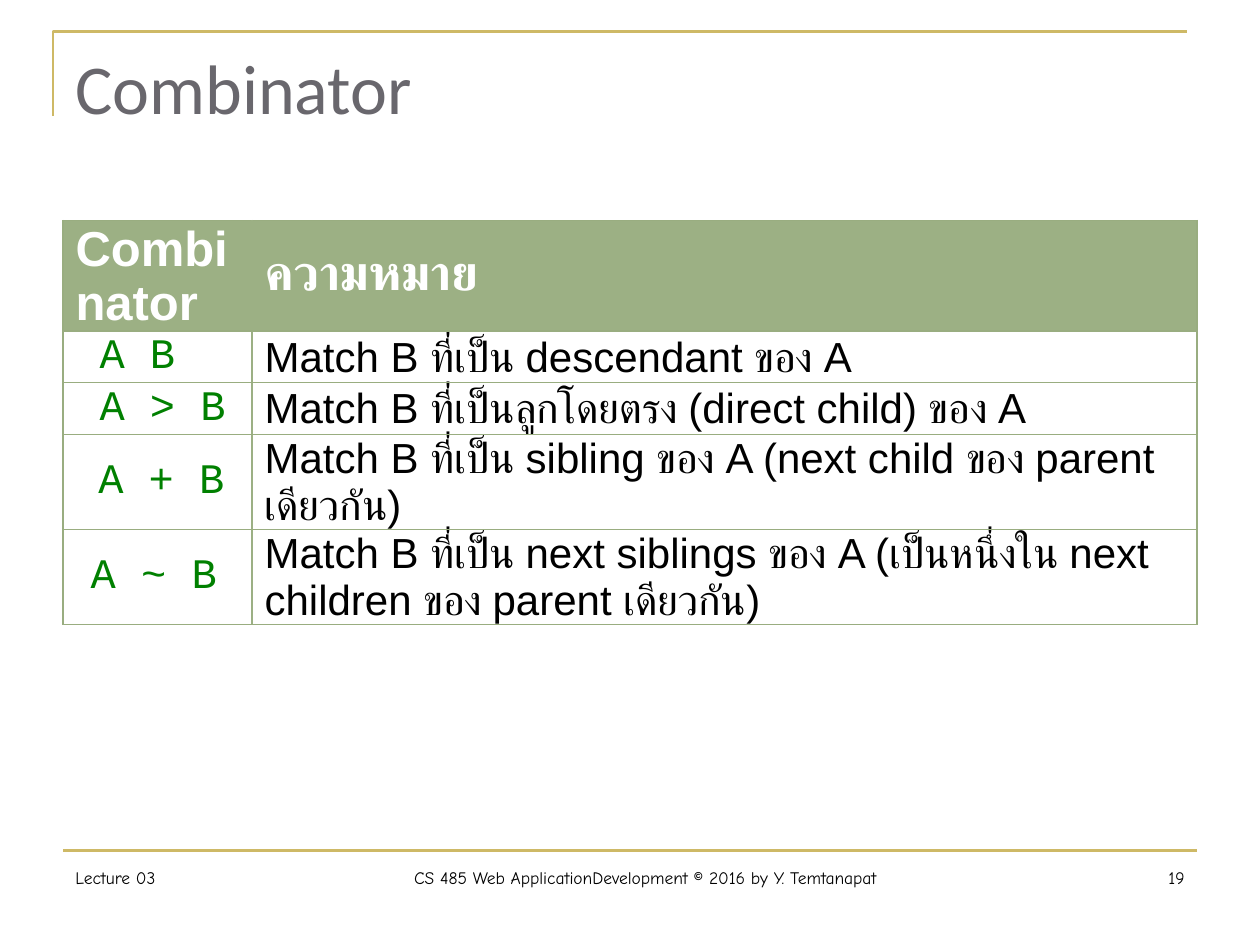
from typing import NamedTuple

from lxml.etree import SubElement
from pptx import Presentation
from pptx.dml.color import RGBColor
from pptx.enum.shapes import MSO_CONNECTOR
from pptx.enum.text import MSO_ANCHOR, MSO_AUTO_SIZE, PP_ALIGN
from pptx.oxml.ns import qn
from pptx.util import Inches, Pt

COLORS = {
    "gold": "CEB966", "title": "69676D", "head": "9CB084", "rule": "99AD80",
    "code": "008000", "text": "000000", "white": "FFFFFF",
}


class Row(NamedTuple):
    code: str
    sense: str
    indent: float


class Note(NamedTuple):
    text: str
    left: float
    width: float
    align: PP_ALIGN


ROWS = [
    Row("A B", "Match B ที่เป็น descendant ของ A", 0.19),
    Row("A > B", "Match B ที่เป็นลูกโดยตรง (direct child) ของ A", 0.19),
    Row("A + B", "Match B ที่เป็น sibling ของ A (next child ของ parent เดียวกัน)", 0.18),
    Row("A ~ B", "Match B ที่เป็น next siblings ของ A "
        "(เป็นหนึ่งใน next children ของ parent เดียวกัน)", 0.12),
]
NOTES = [
    Note("Lecture 03", 0.5, 1.61, PP_ALIGN.LEFT),
    Note("CS 485 Web ApplicationDevelopment © 2016 by Y. Temtanapat",
         2.11, 6.02, PP_ALIGN.CENTER),
    Note("19", 8.12, 1.38, PP_ALIGN.RIGHT),
]


def rgb(name: str) -> RGBColor:
    return RGBColor.from_string(COLORS[name])


def put_text(frame, text: str, *, size: float, font: str, color: str,
             bold: bool = False, align=PP_ALIGN.LEFT, indent: float = 0) -> None:
    frame.word_wrap = True
    para = frame.paragraphs[0]
    para.alignment = align
    if indent:
        para._p.get_or_add_pPr().set("marL", str(Inches(indent)))
    run = para.add_run()
    run.text = text
    run.font.size = Pt(size)
    run.font.name = font
    run.font.bold = bold
    run.font.color.rgb = rgb(color)


def add_note(slide, note: Note) -> None:
    box = slide.shapes.add_textbox(
        Inches(note.left), Inches(6.83), Inches(note.width), Inches(0.5))
    put_text(box.text_frame, note.text, size=10, font="Comic Neue",
             color="text", align=note.align)


def add_edge(cell, side: str, color: str, width: float) -> None:
    line = SubElement(cell._tc.get_or_add_tcPr(), qn(f"a:ln{side}"), w=str(Pt(width)))
    fill = SubElement(line, qn("a:solidFill"))
    SubElement(fill, qn("a:srgbClr"), val=COLORS[color])


def fill_cell(cell, text: str, back: str, first: bool, **style) -> None:
    cell.vertical_anchor = MSO_ANCHOR.MIDDLE
    cell.margin_left, cell.margin_right = Inches(0.1), Inches(0.01)
    cell.margin_top, cell.margin_bottom = Inches(0.01), 0
    thin, thick = ("rule", 0.75), ("head", 1.5)
    add_edge(cell, "L", *(thin if first else thick))
    add_edge(cell, "R", *(thick if first else thin))
    add_edge(cell, "T", *thin)
    add_edge(cell, "B", *thin)
    cell.fill.solid()
    cell.fill.fore_color.rgb = rgb(back)
    put_text(cell.text_frame, text, **style)


def add_grid(slide) -> None:
    count = len(ROWS) + 1
    grid = slide.shapes.add_table(
        count, 2, Inches(0.5), Inches(1.75), Inches(9), Inches(0.41 * count)).table
    grid.columns[0].width, grid.columns[1].width = Inches(1.5), Inches(7.5)
    for col, text in enumerate(("Combinator", "ความหมาย")):
        fill_cell(grid.cell(0, col), text, "head", col == 0,
                  size=28, font="Arial", color="white", bold=True)
    for num, row in enumerate(ROWS, 1):
        fill_cell(grid.cell(num, 0), row.code, "white", True, size=24,
                  font="Courier New", color="code", indent=row.indent)
        fill_cell(grid.cell(num, 1), row.sense, "white", False,
                  size=24, font="Arial", color="text")


def add_frame(slide) -> None:
    # Corner above the title
    path = slide.shapes.build_freeform(Inches(0.42), Inches(0.92))
    path.add_line_segments(
        [(Inches(0.42), Inches(0.25)), (Inches(9.42), Inches(0.25))], close=False)
    corner = path.convert_to_shape()
    corner.shadow.inherit = False
    corner.fill.background()
    # Rule above the footer
    rule = slide.shapes.add_connector(
        MSO_CONNECTOR.STRAIGHT, Inches(0.5), Inches(6.75), Inches(9.5), Inches(6.75))
    for shape in (corner, rule):
        shape.line.color.rgb = rgb("gold")
        shape.line.width = Pt(1.5)
    SubElement(rule._element.spPr, qn("a:effectLst"))


def add_title(slide) -> None:
    title = slide.shapes.title
    title.left, title.top = Inches(0.5), Inches(0.3)
    title.width, title.height = Inches(9), Inches(1.25)
    title.text_frame.auto_size = MSO_AUTO_SIZE.NONE
    title.text_frame.vertical_anchor = MSO_ANCHOR.TOP
    put_text(title.text_frame, "Combinator", size=40, font="Calibri", color="title")


def main() -> None:
    deck = Presentation()
    deck.slide_width, deck.slide_height = Inches(10), Inches(7.5)
    slide = deck.slides.add_slide(deck.slide_layouts[5])
    add_frame(slide)
    add_title(slide)
    add_grid(slide)
    for note in NOTES:
        add_note(slide, note)
    deck.save("out.pptx")


if __name__ == "__main__":
    main()
